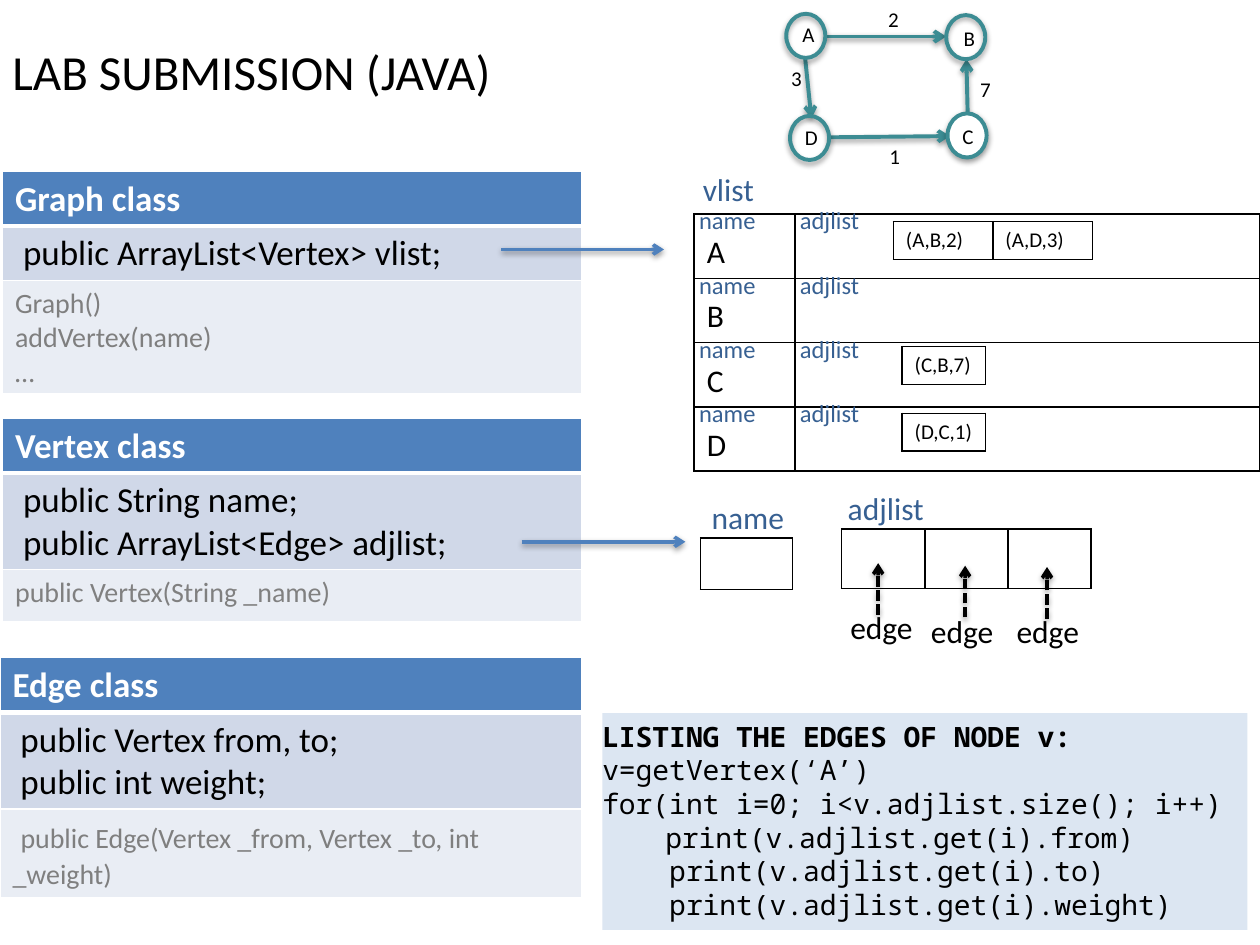
from lxml.etree import SubElement
from pptx import Presentation
from pptx.dml.color import RGBColor
from pptx.enum.dml import MSO_LINE
from pptx.enum.shapes import MSO_CONNECTOR, MSO_SHAPE
from pptx.enum.text import MSO_ANCHOR, PP_ALIGN
from pptx.oxml.ns import qn
from pptx.util import Inches, Pt

BLACK, WHITE, GREY = "000000", "FFFFFF", "7F7F7F"
BLUE, NAVY, TEAL = "4F81BD", "376092", "3C8C93"
ROW_FILLS = [BLUE, "D0D8E8", "E9EDF4"]


def paint(color_format, color):
    color_format.rgb = RGBColor.from_string(color)


def fill_solid(item, color):
    item.fill.solid()
    paint(item.fill.fore_color, color)


def format_font(font, size=18, color=BLACK, bold=False, name="Calibri"):
    for key, value in {"size": Pt(size), "bold": bold, "name": name}.items():
        setattr(font, key, value)
    paint(font.color, color)


def write(frame, lines, **style):
    for index, line in enumerate(lines):
        para = frame.add_paragraph() if index else frame.paragraphs[0]
        para.alignment = PP_ALIGN.LEFT
        spans = [(line, {})] if isinstance(line, str) else line
        for text, changes in spans:
            span = para.add_run()
            span.text = text
            format_font(span.font, **{**style, **changes})


def add_label(page, text, left, top, width=0.84, height=0.4, wrap=True, **style):
    box = page.shapes.add_textbox(*map(Inches, (left, top, width, height)))
    box.text_frame.word_wrap = wrap
    write(box.text_frame, [text], **style)


def cast_shadow(item):
    effects = SubElement(item._element.spPr, qn("a:effectLst"))
    shadow = SubElement(effects, qn("a:outerShdw"), blurRad="40000", dist="20000",
                        dir="5400000", rotWithShape="0")
    color = SubElement(shadow, qn("a:srgbClr"), val=BLACK)
    SubElement(color, qn("a:alpha"), val="38000")


def add_arrow(page, start, end, color=BLUE, width=2, dash=None):
    arrow = page.shapes.add_connector(
        MSO_CONNECTOR.STRAIGHT, *map(Inches, (*start, *end)))
    arrow.line.width = Pt(width)
    paint(arrow.line.color, color)
    if dash:
        arrow.line.dash_style = dash
    SubElement(arrow.line._ln, qn("a:tailEnd"), type="arrow")
    cast_shadow(arrow)


def set_borders(cell, color, bottom=1):
    props = cell._tc.get_or_add_tcPr()
    for side, width in {"L": 1, "R": 1, "T": 1, "B": bottom}.items():
        line = SubElement(props, qn(f"a:ln{side}"), w=str(Pt(width)))
        SubElement(SubElement(line, qn("a:solidFill")), qn("a:srgbClr"), val=color)


def add_grid(page, left, top, columns, rows):
    sizes = map(Inches, (left, top, sum(columns), sum(rows)))
    table = page.shapes.add_table(len(rows), len(columns), *sizes).table
    table.first_row = table.horz_banding = False
    for column, width in zip(table.columns, columns):
        column.width = Inches(width)
    for row, height in zip(table.rows, rows):
        row.height = Inches(height)
    return table


def add_cells(page, left, top, columns, rows, texts=(), size=18,
              anchor=MSO_ANCHOR.TOP):
    table = add_grid(page, left, top, columns, rows)
    for cell in table.iter_cells():
        set_borders(cell, BLACK)
        cell.fill.background()
    for (row, column), text in texts:
        cell = table.cell(row, column)
        cell.vertical_anchor = anchor
        write(cell.text_frame, [text], size=size)


def add_class(page, left, top, width, title, fields, methods, method_color=GREY):
    table = add_grid(page, left, top, [width], [0.41] * 3)
    styles = [{"size": 20, "color": WHITE, "bold": True}, {"size": 20},
              {"size": 16, "color": method_color}]
    rows = zip(table.iter_cells(), [[title], fields, methods], styles, ROW_FILLS)
    for index, (cell, lines, style, fill) in enumerate(rows):
        set_borders(cell, WHITE, bottom=1 if index else 3)
        fill_solid(cell, fill)
        write(cell.text_frame, lines, **style)


def add_graph(page, left, top):
    for start, end in [((0.4, 1.09), (1.36, 1.08)), ((1.5, 0.9), (1.49, 0.47)),
                       ((0.21, 0.46), (0.26, 0.94)), ((0.36, 0.29), (1.33, 0.29))]:
        add_arrow(page, (left + start[0], top + start[1]),
                  (left + end[0], top + end[1]), TEAL, 2.25)
    nodes = [("D", 0.09, 0.92, 0.02, 0.02), ("B", 1.33, 0.12, 0.04, 0.03),
             ("C", 1.34, 0.9, 0.02, 0.03), ("A", 0.06, 0.11, 0.03, 0.01)]
    for name, x, y, shift_x, shift_y in nodes:
        node = page.shapes.add_shape(
            MSO_SHAPE.OVAL, *map(Inches, (left + x, top + y, 0.31, 0.35)))
        if name == "C":
            fill_solid(node, WHITE)
        else:
            node.fill.background()
        node.line.width = Pt(2.25)
        paint(node.line.color, TEAL)
        cast_shadow(node)
        add_label(page, name, left + x + shift_x, top + y + shift_y,
                  0.3, 0.3, wrap=False, size=12)
    for weight, x, y in [("1", 0.78, 1.09), ("2", 0.77, 0), ("3", 0, 0.47), ("7", 1.5, 0.56)]:
        add_label(page, weight, left + x, top + y, 0.29, 0.3, wrap=False, size=12)


def add_vertex_list(page, left, top):
    step = 0.51
    names = [((row, 0), name) for row, name in enumerate("ABCD")]
    add_cells(page, left, top, [0.8, 3.69], [step] * 4, names, anchor=MSO_ANCHOR.BOTTOM)
    add_label(page, "vlist", left - 0.03, top - 0.4, color=NAVY)
    for row in range(4):
        for text, x in [("name", -0.06), ("adjlist", 0.74)]:
            add_label(page, text, left + x, top - 0.12 + row * step,
                      height=0.34, size=14, color=NAVY)
    for x, y, width, edges in [(1.58, 0.06, 0.79, ["(A,B,2)", "(A,D,3)"]),
                               (1.65, 1.05, 0.66, ["(C,B,7)"]),
                               (1.65, 1.58, 0.66, ["(D,C,1)"])]:
        texts = [((0, column), edge) for column, edge in enumerate(edges)]
        add_cells(page, left + x, top + y, [width] * len(edges), [0.3], texts, size=12)


def add_vertex_parts(page, left, top):
    add_cells(page, left + 0.01, top + 0.44, [0.73], [0.41])
    add_label(page, "name", left, top + 0.07, color=NAVY)
    add_cells(page, left + 1.13, top + 0.37, [0.66] * 3, [0.47])
    add_label(page, "adjlist", left + 1.08, top, color=NAVY)
    for x, y, label_x, label_y in [(1.42, 0.64, 1.1, 0.95), (2.11, 0.66, 1.74, 0.98),
                                   (2.76, 0.67, 2.42, 0.98)]:
        add_arrow(page, (left + x, top + y + 0.41), (left + x, top + y),
                  BLACK, dash=MSO_LINE.SQUARE_DOT)
        add_label(page, "edge", left + label_x, top + label_y)


def add_code(page, left, top, width, height):
    panel = page.shapes.add_shape(
        MSO_SHAPE.RECTANGLE, *map(Inches, (left, top, width, height)))
    panel.shadow.inherit = False
    fill_solid(panel, "DCE6F2")
    panel.line.fill.background()
    frame = panel.text_frame
    for key, value in {"margin_left": 0, "margin_right": 0, "word_wrap": True,
                       "vertical_anchor": MSO_ANCHOR.TOP}.items():
        setattr(frame, key, value)
    write(frame, [[("LISTING THE EDGES OF NODE v:", {"bold": True})],
                  "v=getVertex(‘A’)",
                  "for(int i=0; i<v.adjlist.size(); i++)",
                  "\tprint(v.adjlist.get(i).from)",
                  "    print(v.adjlist.get(i).to)",
                  "    print(v.adjlist.get(i).weight)"], size=16, name="Noto Sans Mono")
    tabs = SubElement(frame.paragraphs[3]._p.get_or_add_pPr(), qn("a:tabLst"))
    SubElement(tabs, qn("a:tab"), pos=str(Inches(0.5)), algn="l")


def main():
    deck = Presentation()
    deck.slide_width, deck.slide_height = Inches(10), Inches(7.5)
    page = deck.slides.add_slide(deck.slide_layouts[6])
    add_label(page, "LAB SUBMISSION (JAVA)", 0, 0.28, 9.52, 0.57, size=28)
    add_class(page, 0.02, 1.36, 4.6, "Graph class", [" public ArrayList<Vertex> vlist;"],
              ["Graph()", "addVertex(name)", "…"])
    add_class(page, 0.02, 3.32, 4.6, "Vertex class",
              [" public String name;", " public ArrayList<Edge> adjlist;"],
              ["public Vertex(String _name)"], "808080")
    add_class(page, 0, 5.22, 4.62, "Edge class",
              [" public Vertex from, to;", " public int weight;"],
              [[(" ", {"size": 20}),
                ("public Edge(Vertex _from, Vertex _to, int _weight)", {})]])
    add_graph(page, 6.18, 0)
    add_vertex_list(page, 5.51, 1.7)
    add_vertex_parts(page, 5.55, 3.83)
    add_arrow(page, (3.98, 1.98), (5.27, 1.98))
    add_arrow(page, (4.14, 4.3), (5.44, 4.3))
    add_code(page, 4.78, 5.66, 5.12, 1.72)
    deck.save("out.pptx")


if __name__ == "__main__":
    main()
